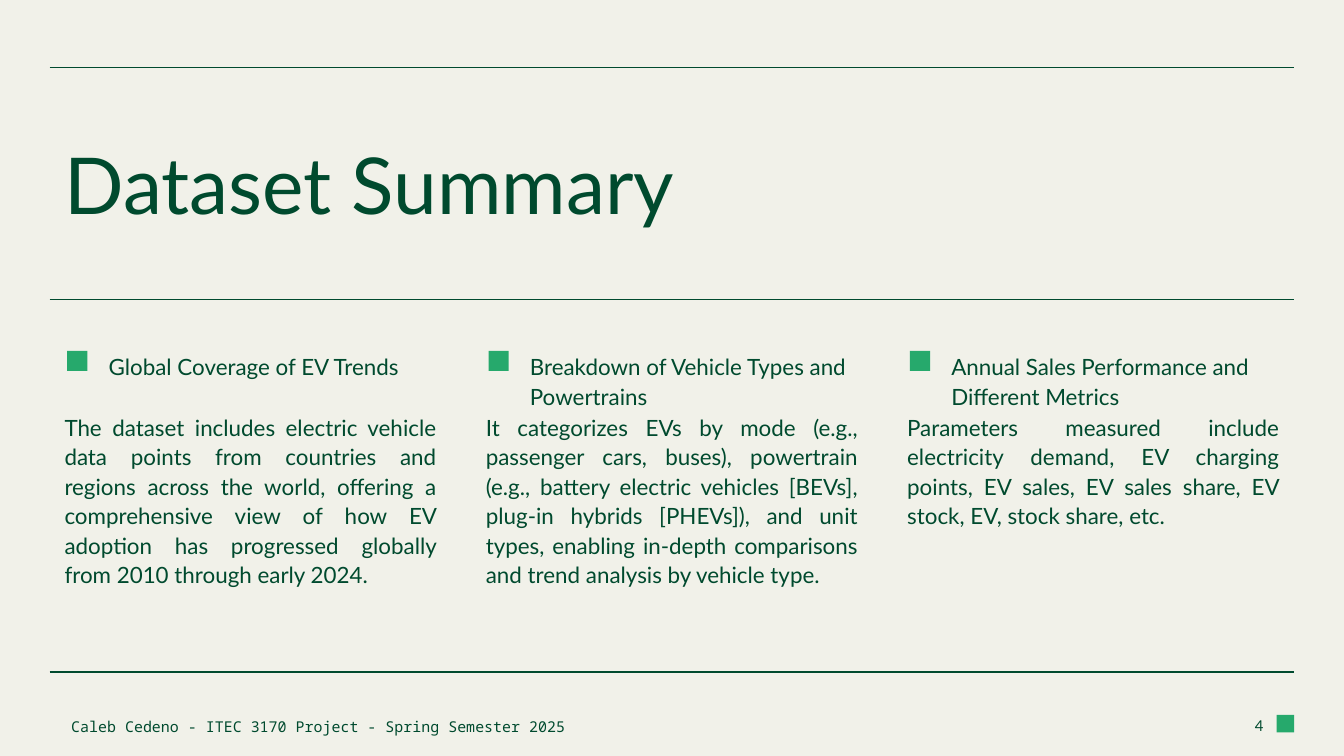
"""Build the dataset summary slide."""
from dataclasses import dataclass

from pptx import Presentation
from pptx.dml.color import RGBColor as Rgb
from pptx.enum.shapes import MSO_CONNECTOR as Link, MSO_SHAPE as Form
from pptx.enum.text import MSO_ANCHOR as Anchor, MSO_AUTO_SIZE as Fit, PP_ALIGN as Align
from pptx.oxml.ns import qn
from pptx.shapes.base import BaseShape
from pptx.slide import Slide
from pptx.util import Inches, Pt


@dataclass(frozen=True)
class Theme:
    """Colours, fonts and type sizes."""
    paper: Rgb = Rgb.from_string("F1F1E9")
    ink: Rgb = Rgb.from_string("004A2E")
    leaf: Rgb = Rgb.from_string("26A96C")
    sans: str = "Lato"
    mono: str = "Noto Sans Mono"
    title: int = 42
    body: int = 12
    small: int = 8


@dataclass(frozen=True)
class Box:
    """A place on the slide in inches."""
    left: float
    top: float
    width: float
    height: float


@dataclass(frozen=True)
class Topic:
    """A heading with its paragraph."""
    head: str
    body: str


THEME = Theme()
LEFT, LAST = 0.38, 6.65
TOPICS = (
    Topic("Global Coverage of EV Trends",
          "The dataset includes electric vehicle data points from countries and regions "
          "across the world, offering a comprehensive view of how EV adoption has "
          "progressed globally from 2010 through early 2024."),
    Topic("Breakdown of Vehicle Types and Powertrains",
          "It categorizes EVs by mode (e.g., passenger cars, buses), powertrain (e.g., "
          "battery electric vehicles [BEVs], plug-in hybrids [PHEVs]), and unit types, "
          "enabling in-depth comparisons and trend analysis by vehicle type."),
    Topic("Annual Sales Performance and Different Metrics",
          "Parameters measured include electricity demand, EV charging points, EV sales, "
          "EV sales share, EV stock, EV, stock share, etc."),
)
PITCH = (LAST - LEFT) / (len(TOPICS) - 1)


def place(shape: BaseShape, box: Box) -> None:
    """Move and size a shape."""
    shape.left, shape.top = Inches(box.left), Inches(box.top)
    shape.width, shape.height = Inches(box.width), Inches(box.height)


def write(shape: BaseShape, box: Box, text: str, size: int, font: str = THEME.sans,
          align: Align = Align.LEFT, anchor: Anchor = Anchor.TOP,
          inset: float = 0.1, lead: float = 1.0, after: int = 0) -> None:
    """Place a text shape and fill it with one plain paragraph."""
    place(shape, box)
    frame = shape.text_frame
    frame.word_wrap, frame.auto_size = True, Fit.NONE
    frame.vertical_anchor = anchor
    frame.margin_left = Inches(inset)
    frame.margin_top = frame.margin_right = frame.margin_bottom = Inches(0.1)
    para = frame.paragraphs[0]
    props = para._p.get_or_add_pPr()
    props.set("marL", "0")
    props.set("indent", "0")
    props.append(props.makeelement(qn("a:buNone"), {}))
    para.alignment, para.line_spacing = align, lead
    para.space_before, para.space_after = Pt(0), Pt(after)
    run = para.add_run()
    run.text = text
    run.font.name, run.font.size, run.font.bold = font, Pt(size), False
    run.font.color.rgb = THEME.ink


def mark(slide: Slide, left: float, top: float, side: float) -> None:
    """Draw a green square."""
    shape = slide.shapes.add_shape(
        Form.RECTANGLE, Inches(left), Inches(top), Inches(side), Inches(side))
    shape.shadow.inherit = False
    shape.fill.solid()
    shape.fill.fore_color.rgb = THEME.leaf
    shape.line.fill.background()


def rule(slide: Slide, top: float) -> None:
    """Draw a line across the slide."""
    line = slide.shapes.add_connector(
        Link.STRAIGHT, Inches(0.37), Inches(top), Inches(9.63), Inches(top))
    line.line.color.rgb, line.line.width = THEME.ink, Pt(0.75)
    props = line._element.spPr
    props.append(props.makeelement(qn("a:effectLst"), {}))


def label(slide: Slide) -> BaseShape:
    """Add an empty text box."""
    return slide.shapes.add_textbox(0, 0, 0, 0)


def main() -> None:
    """Build and save the slide."""
    deck = Presentation()
    deck.slide_width = Inches(10)
    deck.slide_height = deck.slide_width * 9 // 16
    slide = deck.slides.add_slide(deck.slide_layouts.get_by_name("Comparison"))
    slide.background.fill.solid()
    slide.background.fill.fore_color.rgb = THEME.paper

    title, *bodies, foot = slide.placeholders
    write(title, Box(0.38, 0.5, 9.25, 1.73), "Dataset Summary", THEME.title,
          anchor=Anchor.MIDDLE)
    for col, (topic, body) in enumerate(zip(TOPICS, bodies)):
        left = LEFT + col * PITCH
        write(label(slide), Box(left + 0.33, 2.51, 2.64, 0.28), topic.head,
              THEME.body, lead=1.1, after=4)
        write(body, Box(left, 2.96, 2.97, 1.9), topic.body, THEME.body,
              align=Align.JUSTIFY, lead=1.1, after=5)
        mark(slide, left + 0.12, 2.61, 0.15)

    write(foot, Box(0.38, 5.25, 4.64, 0.3),
          "Caleb Cedeno - ITEC 3170 Project - Spring Semester 2025", THEME.small,
          font=THEME.mono, anchor=Anchor.MIDDLE, inset=0.15, lead=1.1, after=4)
    write(label(slide), Box(9, 5.25, 0.5, 0.3), "4", THEME.small,
          align=Align.RIGHT, anchor=Anchor.MIDDLE)
    mark(slide, 9.5, 5.32, 0.13)
    for top in (0.5, 2.23, 5):
        rule(slide, top)
    deck.save("out.pptx")


if __name__ == "__main__":
    main()
